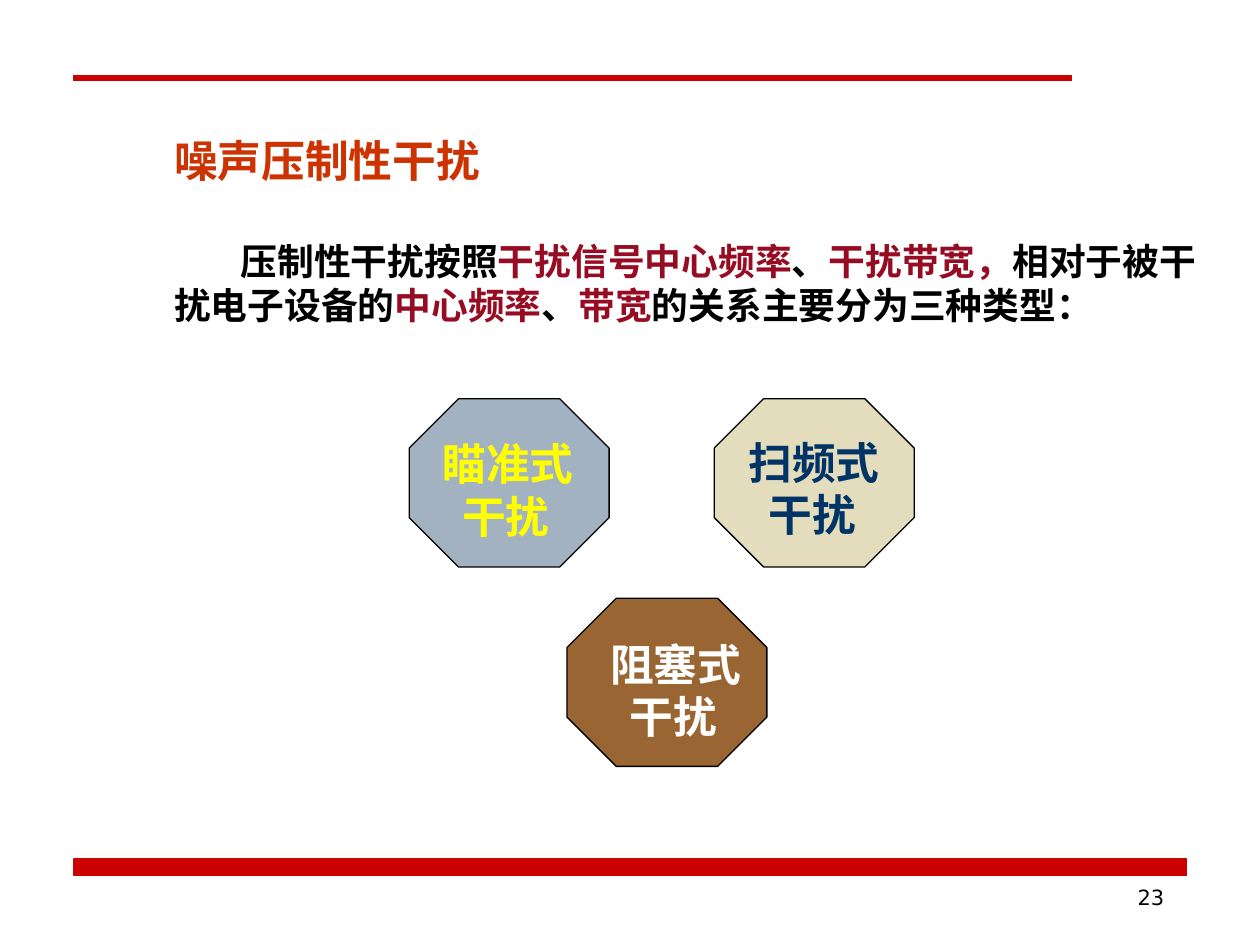
import pptx
import pptx.dml.color
import pptx.enum.shapes
import pptx.enum.text
import pptx.util

Cm = pptx.util.Cm
Pt = pptx.util.Pt
SHAPE = pptx.enum.shapes.MSO_SHAPE
ALIGN = pptx.enum.text.PP_ALIGN

RED = "CC0000"
BLACK = "000000"
CRIMSON = "960C23"
SERIF = "Times New Roman"
TEXT_FRAME = {"word_wrap": True, "margin_left": Cm(0.23), "margin_right": Cm(0.23),
              "margin_top": Cm(0.1), "margin_bottom": Cm(0.1)}


def colour(value):
    return pptx.dml.color.RGBColor.from_string(value)


def set_attributes(target, values):
    for name, value in values.items():
        setattr(target, name, value)


def add_filled_shape(shapes, kind, box, fill, line, line_width):
    shape = shapes.add_shape(kind, *map(Cm, box))
    shape.shadow.inherit = False
    shape.fill.solid()
    shape.fill.fore_color.rgb = colour(fill)
    shape.line.color.rgb = colour(line)
    shape.line.width = Pt(line_width)
    return shape


def add_text(shapes, box, paragraphs):
    """Each paragraph is (runs, font values, paragraph values, first-line indent in cm)."""
    frame = shapes.add_textbox(*map(Cm, box)).text_frame
    set_attributes(frame, TEXT_FRAME)
    for index, (runs, font, layout, indent) in enumerate(paragraphs):
        paragraph = frame.add_paragraph() if index else frame.paragraphs[0]
        set_attributes(paragraph, layout)
        if indent:
            paragraph._p.get_or_add_pPr().set("indent", str(Cm(indent)))
        for text, text_colour in runs:
            run = paragraph.add_run()
            run.text = text
            set_attributes(run.font, font)
            run.font.color.rgb = colour(text_colour)


def add_frame(slide, box):
    """Red rules at the top and bottom, and the page number."""
    left, top, width, height = box
    add_filled_shape(slide.shapes, SHAPE.RECTANGLE,
                     (left, top + height - 0.33, width, 0.33), RED, RED, 0.75)
    add_filled_shape(slide.shapes, SHAPE.RECTANGLE,
                     (left, top, width - 2.32, 0.1), RED, RED, 0.5)
    number_font = {"name": "DejaVu Sans", "size": Pt(12)}
    add_text(slide.shapes, (left + 16.71, top + height + 0.09, 5.5, 1.3),
             [([("23", BLACK)], number_font, {"alignment": ALIGN.RIGHT}, 0)])


def add_type(slide, box, name, fill, text_colour, offset):
    """Octagon with a two-line label, grouped."""
    left, top, width, height = box
    group = slide.shapes.add_group_shape()
    octagon = add_filled_shape(group.shapes, SHAPE.OCTAGON, box, fill, BLACK, 0.75)
    octagon.adjustments[0] = 0.293
    font = {"name": SERIF, "size": Pt(25), "bold": True}
    add_text(group.shapes, (left + offset[0], top + offset[1], 3.38, 2.34),
             [([(name, text_colour)], font, {}, 0),
              ([("干扰", text_colour)], font, {}, 0.4)])


def add_introduction(slide, box):
    """Heading and the paragraph below it."""
    heading_font = {"name": SERIF, "size": Pt(25), "bold": True}
    body_font = {**heading_font, "size": Pt(21)}
    body = [("压制性干扰按照", BLACK), ("干扰信号中心频率", CRIMSON), ("、", BLACK),
            ("干扰带宽，", CRIMSON), ("相对于被干扰电子设备的", BLACK),
            ("中心频率", CRIMSON), ("、", BLACK), ("带宽", CRIMSON),
            ("的关系主要分为三种类型：", BLACK)]
    add_text(slide.shapes, box,
             [([("噪声压制性干扰", "CC3300")], heading_font, {}, 0),
              (body, body_font, {"space_before": Pt(30)}, 1.34)])


def main():
    presentation = pptx.Presentation()
    presentation.slide_width = Cm(25.4)
    presentation.slide_height = Cm(19.05)
    slide = presentation.slides.add_slide(presentation.slide_layouts[6])

    add_frame(slide, (1.49, 1.53, 22.43, 16.12))
    size = (4.03, 3.39)
    types = [
        ((8.25, 8.04), "瞄准式", "A3B2C1", "FFFF00", (0.44, 0.67)),
        ((14.4, 8.04), "扫频式", "E3DCBD", "003366", (0.46, 0.64)),
        ((11.43, 12.06), "阻塞式", "996633", "FFFFFF", (0.64, 0.69)),
    ]
    for corner, *details in types:
        add_type(slide, corner + size, *details)
    add_introduction(slide, (3.28, 2.59, 21.08, 4.11))

    presentation.save("out.pptx")


if __name__ == "__main__":
    main()
